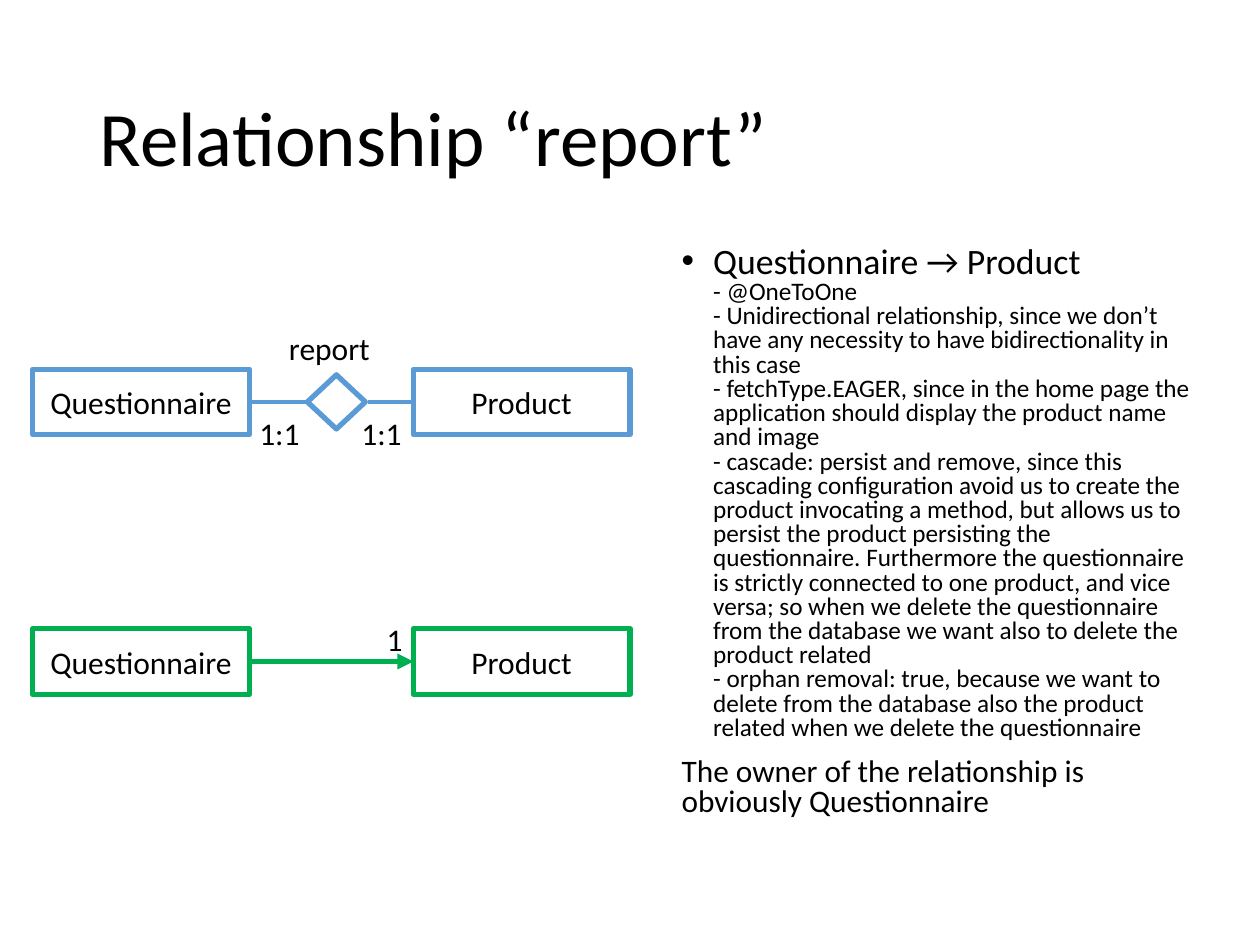
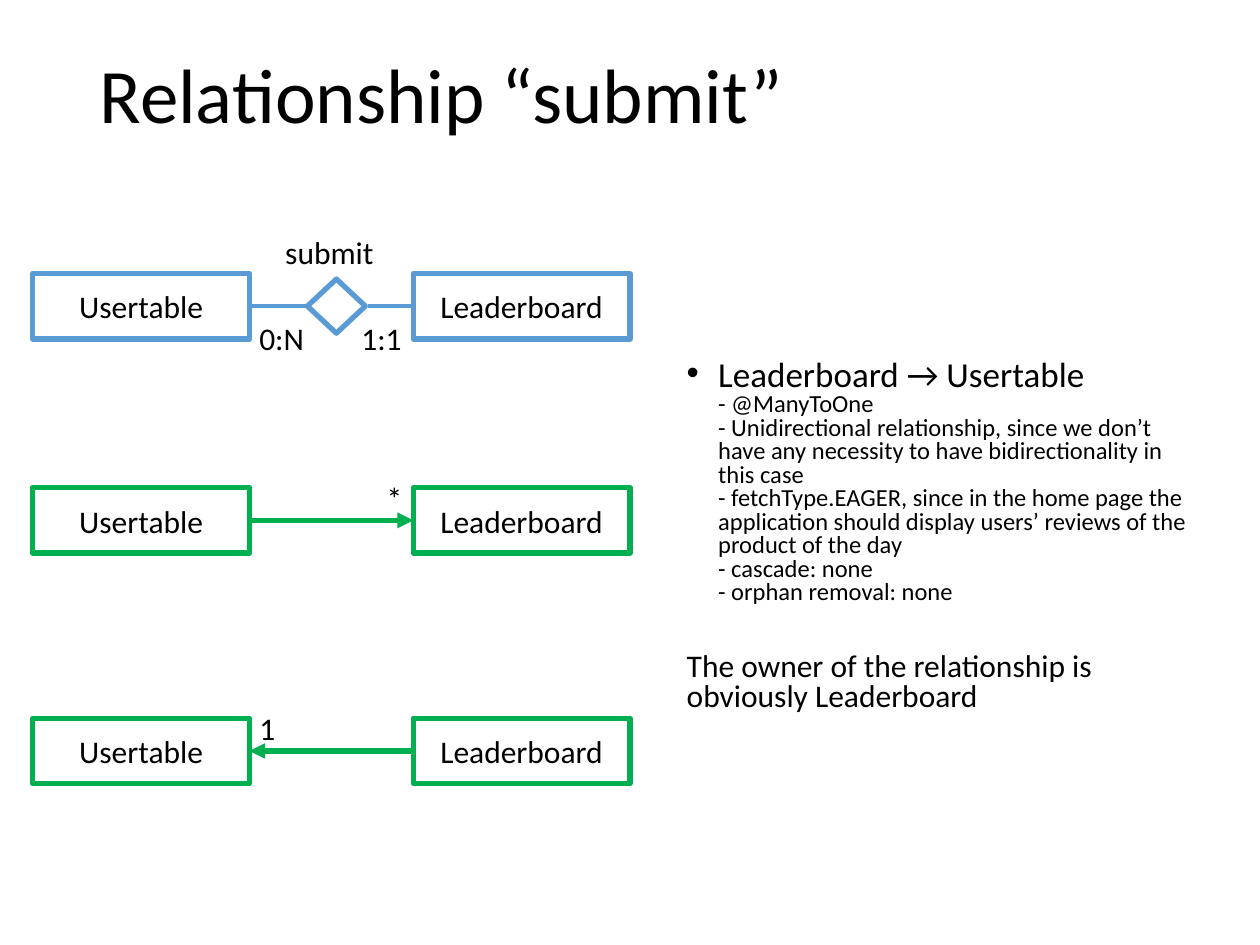
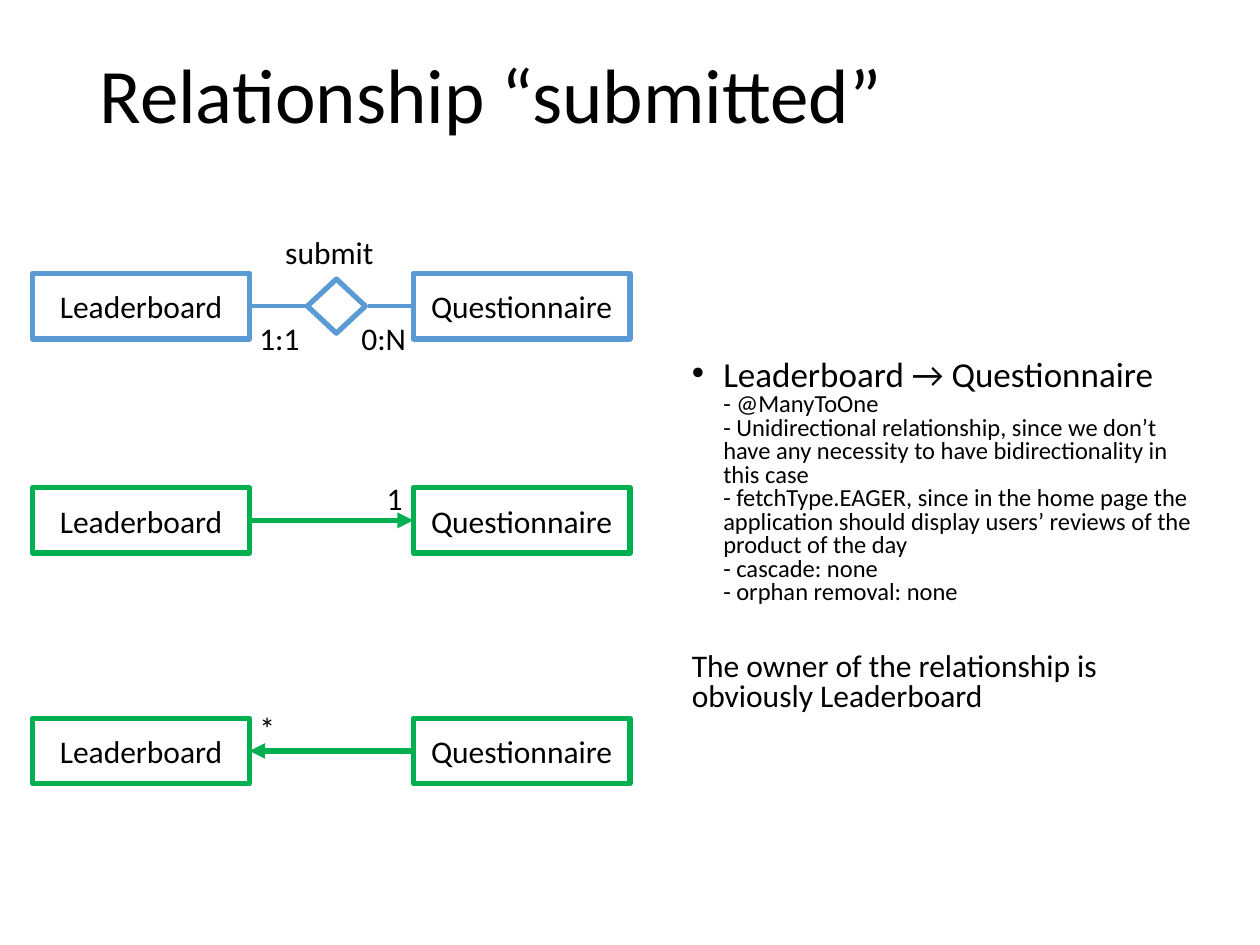
from pptx import Presentation
from pptx.dml.color import RGBColor
from pptx.enum.shapes import MSO_CONNECTOR, MSO_SHAPE
from pptx.enum.text import MSO_ANCHOR, MSO_AUTO_SIZE, PP_ALIGN
from pptx.oxml.ns import qn
from pptx.util import Inches, Pt
from lxml import etree

RECT, DIAMOND = MSO_SHAPE.RECTANGLE, MSO_SHAPE.DIAMOND
STRAIGHT = MSO_CONNECTOR.STRAIGHT
TOP, MIDDLE = MSO_ANCHOR.TOP, MSO_ANCHOR.MIDDLE
LEFT, CENTER = PP_ALIGN.LEFT, PP_ALIGN.CENTER
NO_FIT, GROW = MSO_AUTO_SIZE.NONE, MSO_AUTO_SIZE.SHAPE_TO_FIT_TEXT

# Shared look
FONT = "Calibri"
BLACK, WHITE, BLUE, GREEN = "000000", "FFFFFF", "5B9BD5", "00B050"

# Shared diagram grid (inches)
BOX_W, BOX_H = 1.72, 0.52
LEFT_X, RIGHT_X = 0.26, 3.28
LEFT_EDGE = LEFT_X + BOX_W
DIAMOND_X, DIAMOND_W, DIAMOND_H = 2.44, 0.46, 0.43
LABEL_H = 0.4
LABEL_W = {"1:1": 0.53, "0:N": 0.56, "1": 0.33, "*": 0.33,
           "report": 0.85, "submit": 0.91}

UNIDIRECTIONAL = ("- Unidirectional relationship, since we don’t have any "
                  "necessity to have bidirectionality in this case")
REVIEWS = ["- @ManyToOne",
           UNIDIRECTIONAL,
           "- fetchType.EAGER, since in the home page the application should "
           "display users’ reviews of the product of the day",
           "- cascade: none",
           "- orphan removal: none"]
PRODUCT = ["- @OneToOne",
           UNIDIRECTIONAL,
           "- fetchType.EAGER, since in the home page the application should "
           "display the product name and image",
           "- cascade: persist and remove, since this cascading configuration "
           "avoid us to create the product invocating a method, but allows us "
           "to persist the product persisting the questionnaire. Furthermore "
           "the questionnaire is strictly connected to one product, and vice "
           "versa; so when we delete the questionnaire from the database we "
           "want also to delete the product related",
           "- orphan removal: true, because we want to delete from the "
           "database also the product related when we delete the questionnaire"]

# er: top, relationship name, left and right cardinality
# arrows: top, label, side the arrow points to
SLIDES = [
    dict(title="Relationship “report”", title_top=0.4,
         entities=("Questionnaire", "Product"),
         er=(2.93, "report", "1:1", "1:1"),
         arrows=[(4.99, "1", "right")],
         body=(5.31, 1.91, 4.25, 4.76), sizes=(20.4, 14.4, 17.9), gap=10,
         heading="Questionnaire → Product", details=PRODUCT,
         owner="Questionnaire"),
    dict(title="Relationship “submit”", title_top=0.06,
         entities=("Usertable", "Leaderboard"),
         er=(2.17, "submit", "0:N", "1:1"),
         arrows=[(3.87, "*", "right"), (5.7, "1", "left")],
         body=(5.35, 2.81, 4.25, 2.99), sizes=(20, 14, 18), gap=27,
         heading="Leaderboard → Usertable", details=REVIEWS,
         owner="Leaderboard"),
    dict(title="Relationship “submitted”", title_top=0.06,
         entities=("Leaderboard", "Questionnaire"),
         er=(2.17, "submit", "1:1", "0:N"),
         arrows=[(3.87, "1", "right"), (5.7, "*", "left")],
         body=(5.39, 2.81, 4.25, 2.96), sizes=(20, 14, 18), gap=27,
         heading="Leaderboard → Questionnaire", details=REVIEWS,
         owner="Leaderboard"),
]


def rgb(color):
    return RGBColor.from_string(color)


def add_run(p, text, size):
    r = p.add_run()
    r.text = text
    r.font.name = FONT
    r.font.size = Pt(size)
    r.font.color.rgb = rgb(BLACK)


prs = Presentation()
prs.slide_width, prs.slide_height = Inches(10), Inches(7.5)

for data in SLIDES:
    s = prs.slides.add_slide(prs.slide_layouts[1])

    # Title
    sp = s.shapes.title
    sp.left, sp.top = Inches(0.69), Inches(data["title_top"])
    sp.width, sp.height = Inches(8.62), Inches(1.45)
    tf = sp.text_frame
    tf.auto_size = NO_FIT
    tf.vertical_anchor = MIDDLE
    p = tf.paragraphs[0]
    p.alignment = LEFT
    p.line_spacing = 0.9
    add_run(p, data["title"], 44)

    # Explanation
    sp = s.placeholders[1]
    sp.left, sp.top, sp.width, sp.height = [Inches(v) for v in data["body"]]
    tf = sp.text_frame
    tf.auto_size = NO_FIT
    tf.vertical_anchor = TOP
    head_size, detail_size, owner_size = data["sizes"]
    p = tf.paragraphs[0]
    p.line_spacing, p.space_before = 0.8, Pt(10)
    pPr = p._p.get_or_add_pPr()
    pPr.set("marL", str(Inches(0.25)))
    pPr.set("indent", str(Inches(-0.25)))
    add_run(p, data["heading"], head_size)
    for line in data["details"]:
        p.add_line_break()
        add_run(p, line, detail_size)
    p = tf.add_paragraph()
    p.line_spacing, p.space_before = 0.8, Pt(data["gap"])
    pPr = p._p.get_or_add_pPr()
    pPr.set("marL", "0")
    pPr.set("indent", "0")
    etree.SubElement(pPr, qn("a:buNone"))
    add_run(p, "The owner of the relationship is obviously " + data["owner"],
            owner_size)

    # Collect the parts of the diagrams
    er_top, name, left_card, right_card = data["er"]
    er_mid = er_top + BOX_H / 2
    rows = [(er_top, BLUE)] + [(top, GREEN) for top, _, _ in data["arrows"]]
    outlines = [(RECT, x, top, BOX_W, BOX_H, color, entity)
                for top, color in rows
                for x, entity in zip((LEFT_X, RIGHT_X), data["entities"])]
    outlines.append((DIAMOND, DIAMOND_X, er_mid - DIAMOND_H / 2,
                     DIAMOND_W, DIAMOND_H, BLUE, ""))
    lines = [(RIGHT_X, 2.92, er_mid, BLUE, 2.25, False),
             (DIAMOND_X, LEFT_EDGE, er_mid, BLUE, 2.25, False)]
    labels = [(2.77, er_top + 0.31, right_card),
              (1.96, er_top + 0.31, left_card),
              (2.62 - LABEL_W[name] / 2, er_top - 0.37, name)]
    for top, label, side in data["arrows"]:
        tip, start, label_x = ((RIGHT_X, LEFT_EDGE, 2.97) if side == "right"
                               else (LEFT_EDGE, RIGHT_X, 1.96))
        lines.append((tip, start, top + BOX_H / 2, GREEN, 3, True))
        labels.append((label_x, top - 0.12, label))

    # Entities and relationship diamond
    for kind, x, y, w, h, color, text in outlines:
        sp = s.shapes.add_shape(kind, Inches(x), Inches(y), Inches(w), Inches(h))
        sp.shadow.inherit = False
        if color == BLUE:
            sp.fill.solid()
            sp.fill.fore_color.rgb = rgb(WHITE)
        else:
            sp.fill.background()
        sp.line.color.rgb = rgb(color)
        sp.line.width = Pt(3)
        if text:
            sp.text_frame.vertical_anchor = MIDDLE
            p = sp.text_frame.paragraphs[0]
            p.alignment = CENTER
            add_run(p, text, 18)

    # Links and arrows
    for x1, x2, y, color, width, arrow in lines:
        c = s.shapes.add_connector(STRAIGHT, Inches(x1), Inches(y),
                                   Inches(x2), Inches(y))
        c.line.color.rgb = rgb(color)
        c.line.width = Pt(width)
        if arrow:
            etree.SubElement(c.line._get_or_add_ln(), qn("a:headEnd"),
                             type="triangle")
        etree.SubElement(c._element.spPr, qn("a:effectLst"))

    # Cardinalities and relationship name
    for x, y, text in labels:
        sp = s.shapes.add_textbox(Inches(x), Inches(y),
                                  Inches(LABEL_W[text]), Inches(LABEL_H))
        tf = sp.text_frame
        tf.word_wrap = False
        tf.auto_size = GROW
        add_run(tf.paragraphs[0], text, 18)

prs.save("out.pptx")
